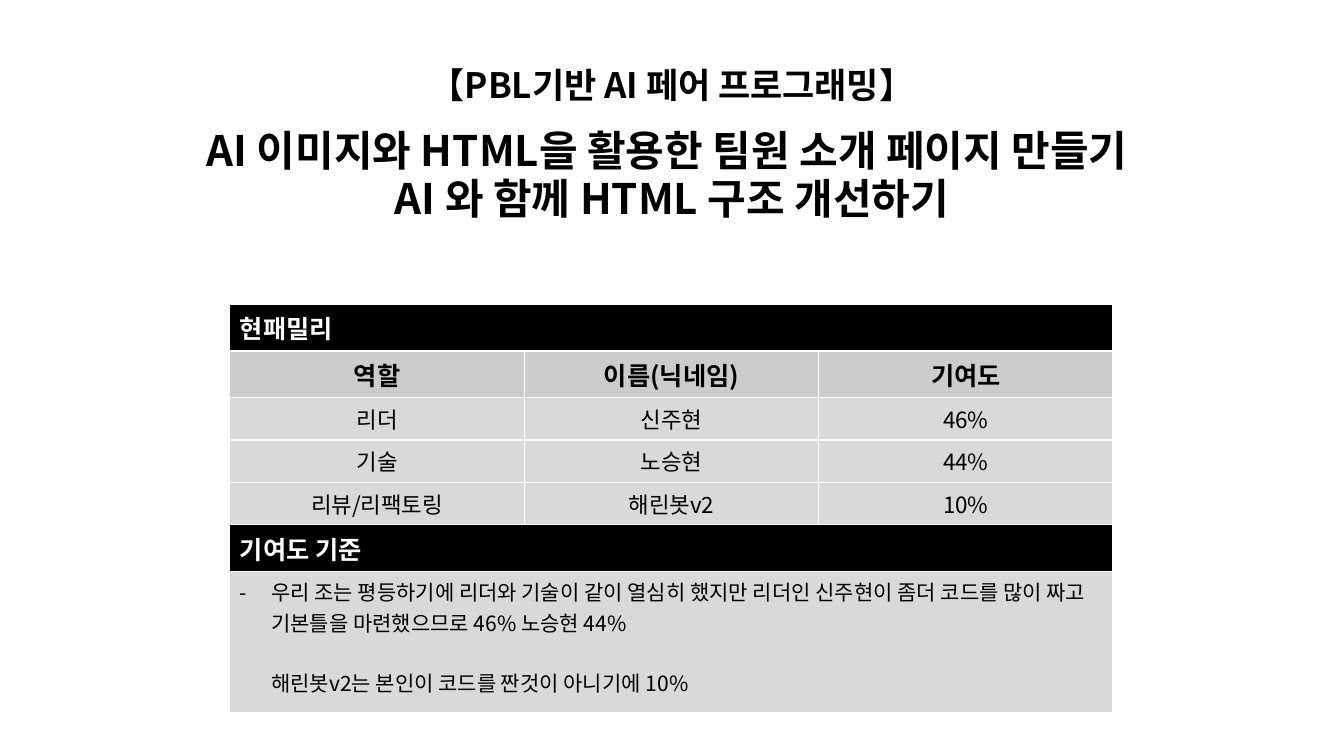
"""Build the team slide with its heading and contribution table."""
import pptx
import pptx.util
import pptx.dml.color
import pptx.enum.text
import pptx.oxml.ns
import lxml.etree

Inches, Pt = pptx.util.Inches, pptx.util.Pt
RGB = pptx.dml.color.RGBColor
ALIGN = pptx.enum.text.PP_ALIGN
MIDDLE = ALIGN.CENTER
qn = pptx.oxml.ns.qn
BLACK = RGB(0, 0, 0)
WHITE = RGB(255, 255, 255)
GRAY = RGB(0xCC, 0xCC, 0xCC)
PALE = RGB(0xD9, 0xD9, 0xD9)
FONT = "Noto Sans CJK KR"


def write(para, text, size, bold, color, align):
    run = para.add_run()
    run.text = text
    para.alignment = align
    look = {"name": FONT, "size": Pt(size), "bold": bold}
    for key, value in look.items():
        setattr(run.font, key, value)
    run.font.color.rgb = color
    props = run._r.get_or_add_rPr()
    lxml.etree.SubElement(props, qn("a:ea"), typeface=FONT)


deck = pptx.Presentation()
deck.slide_width, deck.slide_height = Inches(13.33), Inches(7.5)
slide = deck.slides.add_slide(deck.slide_layouts[5])

title = slide.shapes.title
place = {"left": 0, "top": 0.63, "width": 13.33, "height": 2.03}
for key, value in place.items():
    setattr(title, key, Inches(value))
frame = title.text_frame
setup = {
    "word_wrap": True,
    "auto_size": pptx.enum.text.MSO_AUTO_SIZE.NONE,
    "vertical_anchor": pptx.enum.text.MSO_ANCHOR.TOP,
}
for key, value in setup.items():
    setattr(frame, key, value)

heads = [
    ("【PBL기반 AI 페어 프로그래밍】", 25, 0),
    ("AI 이미지와 HTML을 활용한 팀원 소개 페이지 만들기 ", 30, 17),
    ("AI 와 함께 HTML 구조 개선하기", 30, 2.3),
]
for i, (text, size, gap) in enumerate(heads):
    para = frame.add_paragraph() if i else frame.paragraphs[0]
    para.line_spacing = 0.9
    para.space_before = Pt(gap)
    write(para, text, size, True, BLACK, MIDDLE)

BAR = (BLACK, 18, True, WHITE, ALIGN.LEFT)
HEAD = (GRAY, 18, True, BLACK, MIDDLE)
BODY = (PALE, 16, False, BLACK, MIDDLE)
NOTE = (PALE, 15, False, BLACK, ALIGN.LEFT)
rows = [
    (0.39, BAR, ["현패밀리"]),
    (0.39, HEAD, ["역할", "이름(닉네임)", "기여도"]),
    (0.36, BODY, ["리더", "신주현", "46%"]),
    (0.36, BODY, ["기술", "노승현", "44%"]),
    (0.36, BODY, ["리뷰/리팩토링", "해린봇v2", "10%"]),
    (0.39, BAR, ["기여도 기준"]),
    (1.4, NOTE, ["우리 조는 평등하기에 리더와 기술이 같이 열심히 했지만 리더인 신주현이 "
                 "좀더 코드를 많이 짜고 기본틀을 마련했으므로 46% 노승현 44%"]),
]
table = slide.shapes.add_table(
    len(rows), 3, Inches(2.28), Inches(3.02), Inches(8.76), Inches(3.65)).table
table.horz_banding = False
for column in table.columns:
    column.width = Inches(2.92)
for r, (height, (fill, *look), texts) in enumerate(rows):
    table.rows[r].height = Inches(height)
    if len(texts) == 1:
        table.cell(r, 0).merge(table.cell(r, 2))
    for c in range(3):
        cell = table.cell(r, c)
        cell.fill.solid()
        cell.fill.fore_color.rgb = fill
        if c < len(texts):
            write(cell.text_frame.paragraphs[0], texts[c], *look)

note = table.cell(6, 0).text_frame
last = note.add_paragraph()
last.space_before = Pt(21.7)
write(last, "해린봇v2는 본인이 코드를 짠것이 아니기에 10%", *NOTE[1:])
for para, indent in zip(note.paragraphs, (-0.31, 0)):
    props = para._p.get_or_add_pPr()
    props.set("marL", str(Inches(0.31)))
    props.set("indent", str(Inches(indent)))
bullet = note.paragraphs[0]._p.get_or_add_pPr()
lxml.etree.SubElement(bullet, qn("a:buFont"), typeface=FONT)
lxml.etree.SubElement(bullet, qn("a:buChar"), char="-")

deck.save("out.pptx")
